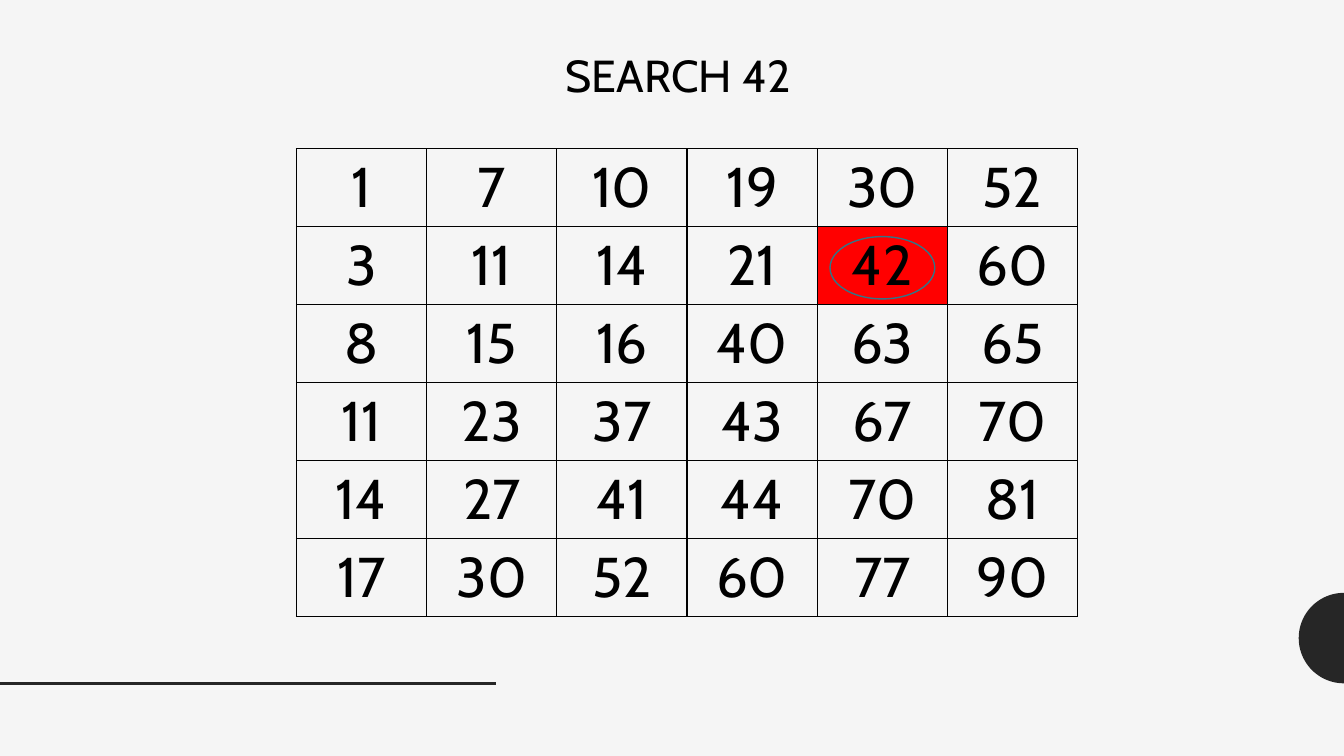
import math

from lxml import etree
from pptx import Presentation
from pptx.dml.color import RGBColor
from pptx.enum.shapes import MSO_CONNECTOR, MSO_SHAPE
from pptx.enum.text import MSO_ANCHOR, MSO_AUTO_SIZE, PP_ALIGN
from pptx.oxml.ns import qn
from pptx.util import Cm, Pt

STRAIGHT = MSO_CONNECTOR.STRAIGHT
OVAL = MSO_SHAPE.OVAL
TOP = MSO_ANCHOR.TOP
LEFT, CENTER = PP_ALIGN.LEFT, PP_ALIGN.CENTER
GROW = MSO_AUTO_SIZE.SHAPE_TO_FIT_TEXT

FONT = "Cabin"
COLORS = {
    "background": "F5F5F5",
    "decor": "262626",
    "text": "000000",
    "grid": "000000",
    "found": "FF0000",
    "ring": "327587",
}
SLIDE_W, SLIDE_H = 33.87, 19.05
TARGET = 42
MATRIX = [
    [1, 7, 10, 19, 30, 52],
    [3, 11, 14, 21, 42, 60],
    [8, 15, 16, 40, 63, 65],
    [11, 23, 37, 43, 67, 70],
    [14, 27, 41, 44, 70, 81],
    [17, 30, 52, 60, 77, 90],
]


def color(name):
    return RGBColor.from_string(COLORS[name])


def style_paragraph(paragraph, size, align):
    paragraph.alignment = align
    for run in paragraph.runs:
        run.font.name = FONT
        run.font.size = Pt(size)
        run.font.bold = False
        run.font.color.rgb = color("text")


def add_decor(slide, baseline, line_width, radius):
    """Half disc on the right edge and rule on the left, sharing a baseline."""
    # Half disc
    center_y = baseline - radius
    arc = []
    for step in range(49):
        angle = math.pi * step / 48
        arc.append((Cm(SLIDE_W - radius * math.sin(angle)),
                    Cm(center_y + radius * math.cos(angle))))
    builder = slide.shapes.build_freeform(*arc[0], scale=1.0)
    builder.add_line_segments(arc[1:], close=True)
    half_disc = builder.convert_to_shape()
    half_disc.shadow.inherit = False
    half_disc.fill.solid()
    half_disc.fill.fore_color.rgb = color("decor")
    half_disc.line.fill.background()

    # Rule
    rule = slide.shapes.add_connector(
        STRAIGHT, Cm(0), Cm(baseline), Cm(line_width), Cm(baseline))
    rule.line.color.rgb = color("decor")
    rule.line.width = Pt(2)
    etree.SubElement(rule._element.spPr, qn("a:effectLst"))


def add_title(slide, left, top, width, height):
    title = slide.shapes.title
    title.left, title.top = Cm(left), Cm(top)
    title.width, title.height = Cm(width), Cm(height)
    frame = title.text_frame
    frame.text = f"SEARCH {TARGET}"
    frame.word_wrap = True
    frame.auto_size = GROW
    frame.vertical_anchor = TOP
    style_paragraph(frame.paragraphs[0], 32, LEFT)


def add_borders(cell):
    properties = cell._tc.get_or_add_tcPr()
    for index, side in enumerate(("a:lnL", "a:lnR", "a:lnT", "a:lnB")):
        border = etree.Element(qn(side), w=str(Pt(1)))
        fill = etree.SubElement(border, qn("a:solidFill"))
        etree.SubElement(fill, qn("a:srgbClr"), val=COLORS["grid"])
        properties.insert(index, border)


def add_matrix(slide, left, top, width, height):
    """Number grid with the target cell filled and ringed."""
    rows, columns = len(MATRIX), len(MATRIX[0])
    cell_w, cell_h = width / columns, height / rows
    grid = slide.shapes.add_table(
        rows, columns, Cm(left), Cm(top), Cm(width), Cm(height)).table
    grid.first_row = False
    grid.horz_banding = False
    for r, numbers in enumerate(MATRIX):
        for c, number in enumerate(numbers):
            cell = grid.cell(r, c)
            cell.text = str(number)
            style_paragraph(cell.text_frame.paragraphs[0], 40, CENTER)
            if number == TARGET:
                cell.fill.solid()
                cell.fill.fore_color.rgb = color("found")
                add_ring(slide, left + c * cell_w, top + r * cell_h,
                         cell_w, cell_h)
            else:
                cell.fill.background()
            add_borders(cell)


def add_ring(slide, left, top, width, height):
    ring_w, ring_h = 2.64, 1.57
    ring = slide.shapes.add_shape(
        OVAL, Cm(left + (width - ring_w) / 2),
        Cm(top + (height - ring_h) / 2 + 0.05), Cm(ring_w), Cm(ring_h))
    ring.shadow.inherit = False
    ring.fill.background()
    ring.line.color.rgb = color("ring")
    ring.line.width = Pt(1)


def main():
    deck = Presentation()
    deck.slide_width, deck.slide_height = Cm(SLIDE_W), Cm(SLIDE_H)
    slide = deck.slides.add_slide(deck.slide_layouts[5])
    slide.background.fill.solid()
    slide.background.fill.fore_color.rgb = color("background")

    add_decor(slide, baseline=17.22, line_width=12.5, radius=1.14)
    add_matrix(slide, left=7.47, top=3.75, width=19.69, height=11.79)
    add_title(slide, left=14, top=1.07, width=16.54, height=1.63)
    deck.save("out.pptx")


if __name__ == "__main__":
    main()
